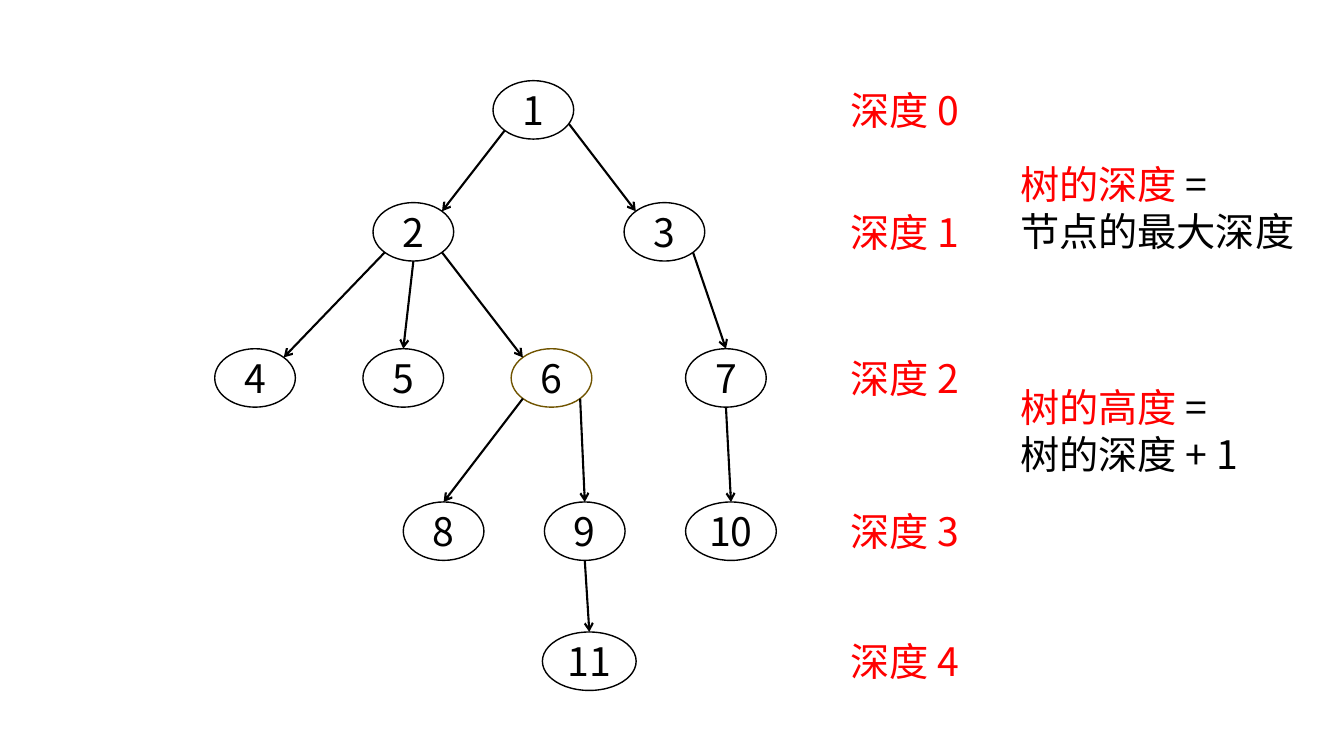
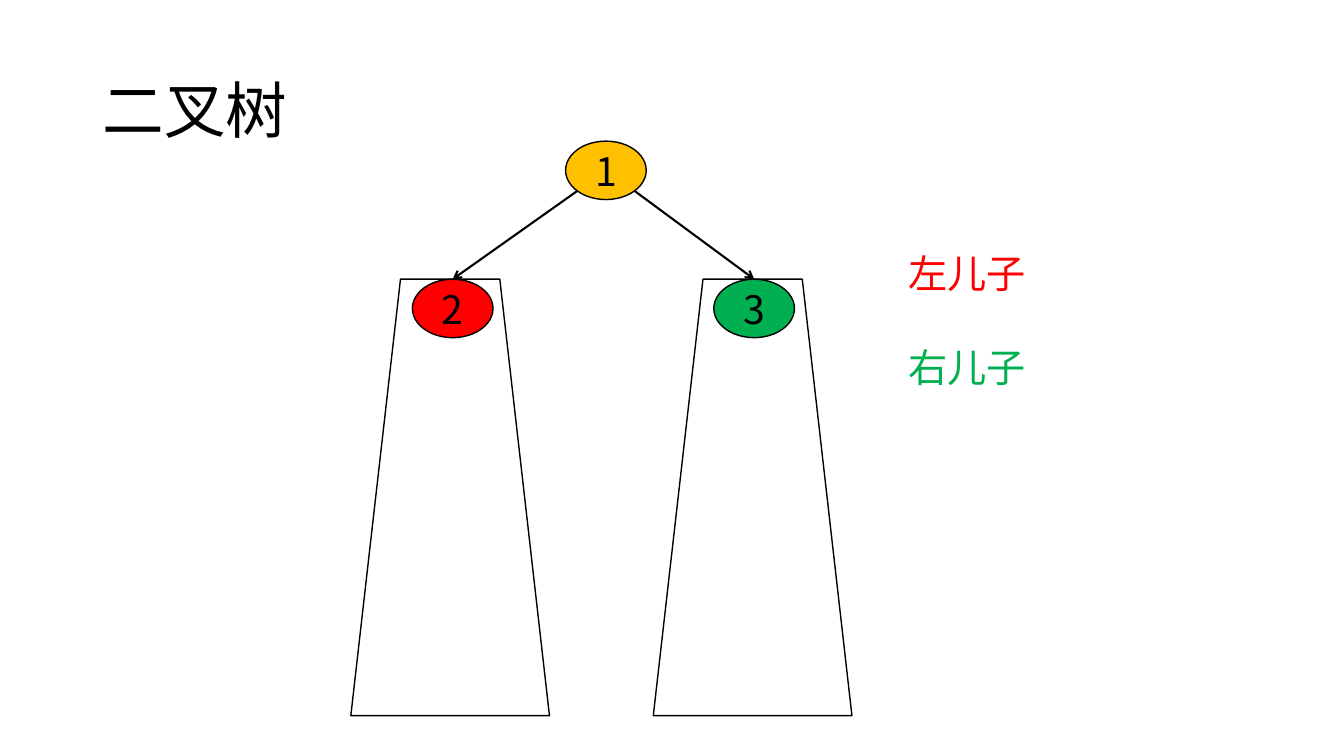
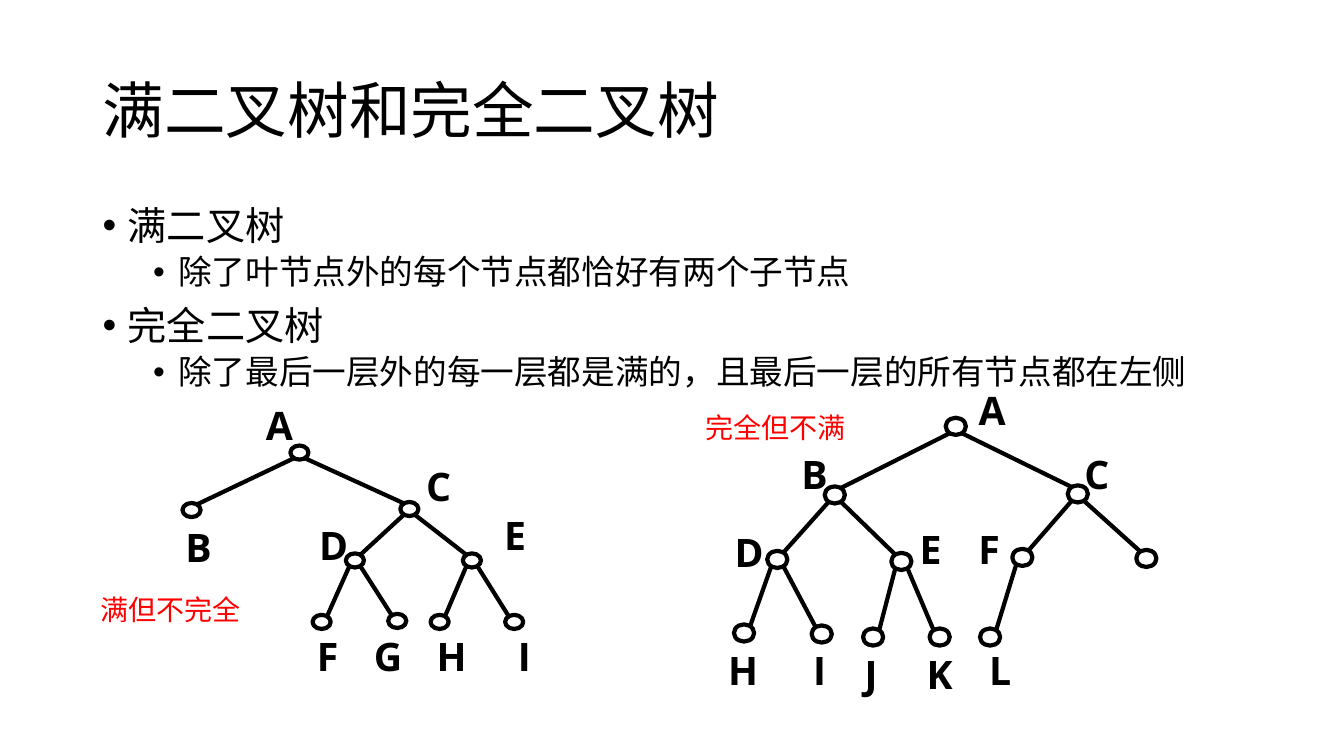
from math import sqrt

from lxml import etree
from pptx import Presentation, util as u
from pptx.dml.color import RGBColor
from pptx.enum import shapes, text
from pptx.oxml.ns import qn

CELL = 0.1
HAN, SANS = "Noto Sans CJK SC", "Open Sans"
BLACK, WHITE, RED, GREEN = "000000", "FFFFFF", "FF0000", "00B050"
GOLD, BROWN = "FFC000", "705400"
BEND = 0.71
OVAL = shapes.MSO_SHAPE.OVAL
MIDDLE = text.MSO_ANCHOR.MIDDLE
CENTER = text.PP_ALIGN.CENTER


def grid(*cells):
    return [u.Inches(cell * CELL) for cell in cells]


def tint(code):
    return RGBColor.from_string(code)


def assign(item, form):
    for key, value in form.items():
        setattr(item, key, value)


def write(para, words, color=BLACK, size=28, face=HAN, bold=False):
    run = para.add_run()
    run.text = words
    assign(run.font, {"name": face, "size": u.Pt(size), "bold": bold})
    run.font.color.rgb = tint(color)
    east = etree.SubElement(run._r.get_or_add_rPr(), qn("a:ea"))
    east.set("typeface", face)


def block(slide, area, lines, form=None, frame=None, **style):
    body = slide.shapes.add_textbox(*grid(*area)).text_frame
    assign(body, {"word_wrap": True, **(frame or {})})
    for row, runs in enumerate(lines):
        para = body.add_paragraph() if row else body.paragraphs[0]
        assign(para, form or {})
        for words, color in runs:
            write(para, words, color, **style)
    return body


def title(slide, words):
    block(slide, (9.2, 4, 115, 14.5), [[(words, BLACK)]],
          {"line_spacing": 0.9}, {"vertical_anchor": MIDDLE}, size=44)


def outline(slide, kind, area, fill=WHITE, edge=BLACK, weight=1):
    shape = slide.shapes.add_shape(kind, *grid(*area))
    shape.shadow.inherit = False
    shape.fill.solid()
    shape.fill.fore_color.rgb = tint(fill)
    shape.line.color.rgb = tint(edge)
    shape.line.width = u.Pt(weight)
    return shape


def node(slide, x, y, wide=8, high=5.8, words="", **look):
    shape = outline(slide, OVAL, (x - wide / 2, y - high / 2, wide, high), **look)
    if words:
        assign(shape.text_frame, {"word_wrap": False, "vertical_anchor": MIDDLE})
        para = shape.text_frame.paragraphs[0]
        para.alignment = CENTER
        write(para, words)
    return shape


def rim(shape, share, side):
    rise = side * sqrt(1 - share * share)
    return (int(shape.left + shape.width * (1 + share) / 2),
            int(shape.top + shape.height * (1 + rise) / 2))


def link(slide, top, out, low, into, weight=1.5, arrow=True):
    line = slide.shapes.add_connector(
        shapes.MSO_CONNECTOR.STRAIGHT, *rim(top, out, 1), *rim(low, into, -1))
    if into == 0:
        line.end_connect(low, 0)
    line.line.color.rgb = tint(BLACK)
    line.line.width = u.Pt(weight)
    if arrow:
        etree.SubElement(line.line._get_or_add_ln(), qn("a:tailEnd")).set("type", "arrow")
    etree.SubElement(line._element.spPr, qn("a:effectLst"))


def bullets(slide, area, items):
    body = block(slide, area, [[(words, BLACK)] for _, words in items],
                 {"line_spacing": 0.9})
    for para, (level, _) in zip(body.paragraphs, items):
        assign(para, {"level": level, "space_before": u.Pt(5 if level else 10)})
        para.runs[0].font.size = u.Pt(24 if level else 28)
        props = para._p.get_or_add_pPr()
        props.set("marL", str(u.Inches(0.25 + level * 0.5)))
        props.set("indent", str(-u.Inches(0.25)))
        etree.SubElement(props, qn("a:buFont")).set("typeface", "Arial")
        etree.SubElement(props, qn("a:buChar")).set("char", "•")


def sketch(slide, spots, tags, pairs, wide, high):
    for name, (x, y) in tags.items():
        block(slide, (x - 4, y, 8, 6.2), [[(name, BLACK)]],
              {"alignment": CENTER}, face=SANS, bold=True)
    dots = {name: node(slide, x, y, wide, high, weight=3)
            for name, (x, y) in spots.items()}
    for top, low in pairs.split():
        side = 0.6 if spots[low][0] > spots[top][0] else -0.6
        link(slide, dots[top], side, dots[low], -side, weight=3, arrow=False)


def depth(slide):
    rows = [10.9, 23, 37.5, 52.7, 65.6]
    spots = {1: (52.9, 0), 2: (41, 1), 3: (65.9, 1), 4: (25.3, 2), 5: (40, 2),
             6: (54.7, 2), 7: (72, 2), 8: (44, 3), 9: (58, 3), 10: (72.5, 3),
             11: (58.45, 4)}
    wide = {10: 9, 11: 9.3}
    nodes = {key: node(slide, x, rows[row], wide.get(key, 8), words=str(key),
                       edge=BROWN if key == 6 else BLACK)
             for key, (x, row) in spots.items()}
    edges = [(1, -BEND, 2, BEND), (1, 0.88, 3, -BEND), (2, -BEND, 4, BEND),
             (2, 0, 5, 0), (2, BEND, 6, -BEND), (3, BEND, 7, 0),
             (6, -BEND, 8, 0), (6, BEND, 9, 0), (7, 0, 10, 0), (9, 0, 11, 0)]
    for top, out, low, into in edges:
        link(slide, nodes[top], out, nodes[low], into)
    for level, y in enumerate(rows):
        block(slide, (83.4, y - 2.85, 14.1, 5.7), [[(f"深度 {level}", RED)]])
    for y, term, rule in [(15.4, "树的深度 ", "节点的最大深度"),
                          (37.5, "树的高度 ", "树的深度 + 1")]:
        block(slide, (100.2, y, 31.5, 10.4),
              [[(term, RED), ("=", BLACK)], [(rule, BLACK)]])


def binary(slide):
    for x in (64.8, 34.8):
        outline(slide, shapes.MSO_SHAPE.TRAPEZOID, (x, 27.7, 19.7, 43.3))
    title(slide, "二叉树")
    root, left, right = [
        node(slide, x, y, words=words, fill=fill) for x, y, words, fill in
        [(60.1, 16.9, "1", GOLD), (44.9, 30.6, "2", RED), (74.8, 30.6, "3", GREEN)]]
    link(slide, root, -BEND, left, 0)
    link(slide, root, BEND, right, 0)
    key = block(slide, (89.1, 24.2, 31.9, 15.1),
                [[("左儿子", RED)], [("右儿子", GREEN)]])
    key.paragraphs[1].space_before = u.Pt(33.6)


def kinds(slide):
    title(slide, "满二叉树和完全二叉树")
    bullets(slide, (9.2, 20, 115, 20), [
        (0, "满二叉树"),
        (1, "除了叶节点外的每个节点都恰好有两个子节点"),
        (0, "完全二叉树"),
        (1, "除了最后一层外的每一层都是满的，且最后一层的所有节点都在左侧")])
    sketch(slide,
           {"A": (29.7, 44.9), "B": (19, 50.6), "C": (40.6, 50.5),
            "D": (35.2, 55.6), "E": (46.8, 55.6), "F": (31.9, 61.7),
            "G": (39.4, 61.6), "H": (43.6, 61.7), "I": (51, 61.7)},
           {"A": (27.7, 39.3), "B": (19.7, 51.4), "C": (43.5, 45.4),
            "D": (33.1, 51.2), "E": (51.1, 50.2), "F": (32.5, 62.2),
            "G": (38.5, 62.2), "H": (44.8, 62.2), "I": (52, 62.2)},
           "AB AC CD CE DF DG EH EI", 1.8, 1.4)
    sketch(slide,
           {"A": (94.8, 42.3), "B": (82.8, 49.1), "C": (106.9, 49),
            "D": (77.1, 55.5), "E": (89.4, 55.7), "F": (101.4, 55.3),
            "G": (113.7, 55.4), "H": (73.8, 62.8), "I": (81.5, 62.9),
            "J": (86.6, 63.2), "K": (93.2, 63.2), "L": (98.2, 63.2)},
           {"A": (98.4, 37.8), "B": (80.8, 44.2), "C": (108.8, 44.2),
            "D": (74.3, 51.9), "E": (92.3, 51.6), "F": (98.1, 51.6),
            "H": (73.7, 63.6), "I": (81.3, 63.6), "J": (86.4, 64),
            "K": (93.2, 64), "L": (99.2, 63.6)},
           "AB AC BD BE CF CG DH DI EJ EK FL", 2, 1.7)
    for x, y, words in [(58.7, 40.2, "完全但不满"), (-1.3, 58.3, "满但不完全")]:
        block(slide, (x, y, 36.4, 4.4), [[(words, RED)]],
              {"alignment": CENTER}, size=20)


def main():
    deck = Presentation()
    deck.slide_width, deck.slide_height = u.Inches(13.33), u.Inches(7.5)
    for draw in (depth, binary, kinds):
        draw(deck.slides.add_slide(deck.slide_layouts[6]))
    deck.save("out.pptx")


if __name__ == "__main__":
    main()
